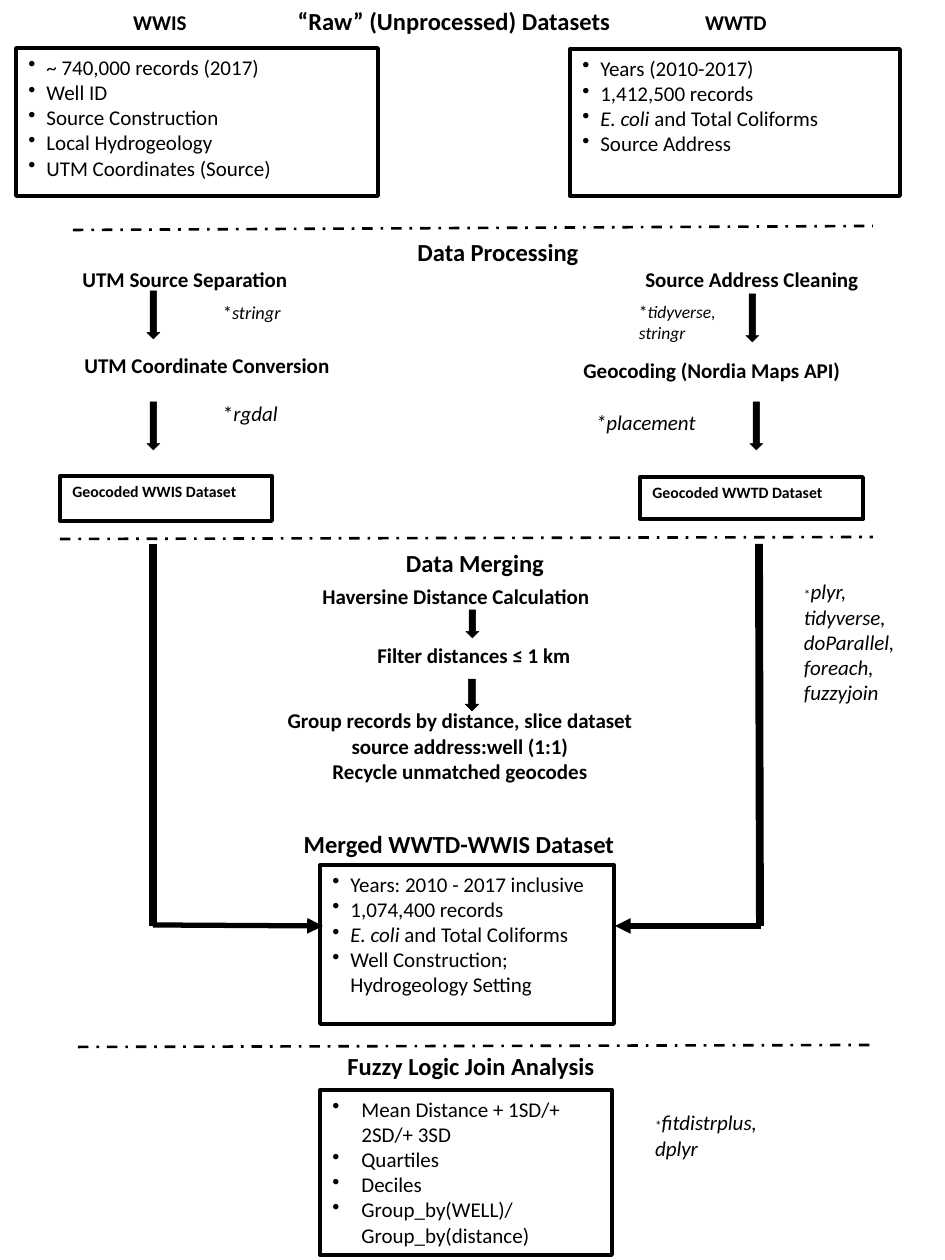
from dataclasses import dataclass

import pptx
import pptx.util
from lxml import etree
from pptx.dml.color import RGBColor
from pptx.enum.dml import MSO_LINE
from pptx.enum.shapes import MSO_CONNECTOR, MSO_SHAPE
from pptx.enum.text import MSO_ANCHOR, PP_ALIGN
from pptx.oxml.ns import qn

PX = 914400 // 126


@dataclass(frozen=True)
class Theme:
    font: str = "Calibri"
    ink: RGBColor = RGBColor(0, 0, 0)
    heading: float = 14
    body: float = 12
    note: float = 10.5
    small_note: float = 10
    tag: float = 9
    star: float = 7.5
    border: float = 2.25
    hairline: float = 0.25


@dataclass(frozen=True)
class Run:
    text: str
    italic: bool = False
    size: float | None = None


@dataclass(frozen=True)
class Label:
    x: int
    y: int
    w: int
    lines: list[list[Run]]
    size: float
    bold: bool = False
    align: PP_ALIGN = PP_ALIGN.LEFT
    hang: int = 0


@dataclass(frozen=True)
class Box:
    x: int
    y: int
    w: int
    h: int
    lines: list[list[Run]]
    hang: int = 18


@dataclass(frozen=True)
class Line:
    x1: int
    y1: int
    x2: int
    y2: int
    width: float
    dash: bool = False
    arrow: bool = False


THEME = Theme()


def px(n: float) -> int:
    return round(n * PX)


def plain(*texts: str) -> list[list[Run]]:
    return [[Run(text)] for text in texts]


def heading(x: int, y: int, w: int, text: str) -> Label:
    return Label(x, y, w, plain(text), THEME.heading, True, PP_ALIGN.CENTER)


def step(x: int, y: int, w: int, *texts: str) -> Label:
    return Label(x, y, w, plain(*texts), THEME.body, True, PP_ALIGN.CENTER)


def note(x: int, y: int, w: int, text: str, size: float, italic_star: bool = False) -> Label:
    return Label(x, y, w, [[Run("*", italic_star), Run(text, True)]], size)


def package_list(x: int, y: int, *names: str) -> Label:
    first = [Run("*", False, THEME.star), Run(names[0], True)]
    rest = [[Run(name, True)] for name in names[1:]]
    return Label(x, y, 130, [first, *rest], THEME.body, hang=9)


def write(tf, lines: list[list[Run]], size: float, bold: bool = False,
          align: PP_ALIGN = PP_ALIGN.LEFT, hang: int = 0, bullet: bool = False) -> None:
    tf.word_wrap = True
    tf.vertical_anchor = MSO_ANCHOR.TOP
    for i, runs in enumerate(lines):
        p = tf.paragraphs[0] if i == 0 else tf.add_paragraph()
        p.alignment = align
        p.font.name = THEME.font
        p.font.size = pptx.util.Pt(size)
        p.font.bold = bold
        p.font.color.rgb = THEME.ink
        same_style = len({run.italic for run in runs}) == 1
        if same_style:
            p.font.italic = runs[0].italic
        pPr = p._p.get_or_add_pPr()
        if hang:
            pPr.set("marL", str(px(hang)))
            pPr.set("indent", str(-px(hang)))
        if bullet:
            bu = etree.Element(qn("a:buChar"), char="•")
            pPr.insert(0, bu)
        for run in runs:
            r = p.add_run()
            r.text = run.text
            if not same_style:
                r.font.italic = run.italic
            if run.size:
                r.font.size = pptx.util.Pt(run.size)


def draw_label(s, label: Label) -> None:
    h = round(len(label.lines) * label.size * 2.14)
    sp = s.shapes.add_textbox(px(label.x), px(label.y), px(label.w), px(h))
    tf = sp.text_frame
    tf.margin_left = tf.margin_right = tf.margin_top = tf.margin_bottom = 0
    write(tf, label.lines, label.size, label.bold, label.align, label.hang)


def draw_shape(s, kind: MSO_SHAPE, x: int, y: int, w: int, h: int, width: float):
    sp = s.shapes.add_shape(kind, px(x), px(y), px(w), px(h))
    sp.shadow.inherit = False
    sp.line.color.rgb = THEME.ink
    sp.line.width = pptx.util.Pt(width)
    return sp


def draw_box(s, box: Box, size: float, bold: bool, bullet: bool) -> None:
    sp = draw_shape(s, MSO_SHAPE.RECTANGLE, box.x, box.y, box.w, box.h, THEME.border)
    sp.fill.background()
    write(sp.text_frame, box.lines, size, bold, hang=box.hang, bullet=bullet)


def draw_down_arrow(s, x: int, y: int, w: int, h: int) -> None:
    sp = draw_shape(s, MSO_SHAPE.DOWN_ARROW, x, y, w, h, THEME.hairline)
    sp.fill.solid()
    sp.fill.fore_color.rgb = THEME.ink


def draw_line(s, line: Line) -> None:
    cx = s.shapes.add_connector(MSO_CONNECTOR.STRAIGHT, px(line.x1), px(line.y1),
                                px(line.x2), px(line.y2))
    cx.line.color.rgb = THEME.ink
    cx.line.width = pptx.util.Pt(line.width)
    if line.dash:
        cx.line.dash_style = MSO_LINE.DASH_DOT
    if line.arrow:
        etree.SubElement(cx.line._get_or_add_ln(), qn("a:tailEnd"), type="triangle")
    etree.SubElement(cx._element.spPr, qn("a:effectLst"))


COLIFORMS = [Run("E. coli", True), Run(" and Total Coliforms")]

LIST_BOXES = [
    Box(16, 48, 362, 148, plain("~ 740,000 records (2017)", "Well ID", "Source Construction",
                                "Local Hydrogeology", "UTM Coordinates (Source)")),
    Box(570, 49, 330, 147, [*plain("Years (2010-2017)", "1,412,500 records"), COLIFORMS,
                            *plain("Source Address")]),
    Box(320, 865, 294, 159, [*plain("Years: 2010 - 2017 inclusive", "1,074,400 records"),
                             COLIFORMS, *plain("Well Construction; Hydrogeology Setting")]),
    Box(320, 1090, 292, 165, plain("Mean Distance + 1SD/+ 2SD/+ 3SD", "Quartiles", "Deciles",
                                   "Group_by(WELL)/Group_by(distance)"), hang=29),
]
TAG_BOXES = [
    Box(60, 476, 212, 45, plain("Geocoded WWIS Dataset"), hang=0),
    Box(640, 477, 223, 42, plain("Geocoded WWTD Dataset"), hang=0),
]
LABELS = [
    step(110, 10, 100, "WWIS"),
    heading(274, 6, 360, "“Raw” (Unprocessed) Datasets"),
    step(686, 10, 100, "WWTD"),
    heading(398, 237, 200, "Data Processing"),
    step(65, 267, 240, "UTM Source Separation"),
    step(632, 267, 240, "Source Address Cleaning"),
    step(62, 353, 290, "UTM Coordinate Conversion"),
    step(562, 358, 300, "Geocoding (Nordia Maps API)"),
    note(223, 301, 80, "stringr", THEME.note),
    note(223, 401, 80, "rgdal", THEME.body),
    note(639, 301, 93, "tidyverse, stringr", THEME.small_note),
    note(596, 410, 130, "placement", THEME.body, True),
    heading(375, 548, 200, "Data Merging"),
    step(306, 584, 300, "Haversine Distance Calculation"),
    step(354, 643, 240, "Filter distances ≤ 1 km"),
    step(260, 708, 400, "Group records by distance, slice dataset",
         "source address:well (1:1)", "Recycle unmatched geocodes"),
    package_list(804, 579, "plyr,", "tidyverse,", "doParallel,", "foreach,", "fuzzyjoin"),
    heading(279, 829, 360, "Merged WWTD-WWIS Dataset"),
    heading(321, 1051, 300, "Fuzzy Logic Join Analysis"),
    package_list(655, 1110, "fitdistrplus,", "dplyr"),
]
DOWN_ARROWS = [
    (147, 291, 13, 48), (147, 402, 13, 48), (746, 294, 13, 48), (750, 402, 13, 48),
    (466, 610, 13, 28), (465, 679, 14, 32),
]
LINES = [
    Line(73, 230, 873, 226, 1.5, dash=True),
    Line(60, 539, 873, 537, 1.5, dash=True),
    Line(78, 1047, 876, 1045, 1.5, dash=True),
    Line(759, 544, 760, 926, 4.5),
    Line(761, 926, 615, 926, 3, arrow=True),
    Line(153, 544, 153, 926, 4.5),
    Line(153, 925, 323, 926, 3, arrow=True),
]


def main() -> None:
    prs = pptx.Presentation()
    prs.slide_width, prs.slide_height = pptx.util.Inches(7.5), pptx.util.Inches(10)
    s = prs.slides.add_slide(prs.slide_layouts[6])
    for box in LIST_BOXES:
        draw_box(s, box, THEME.body, False, True)
    for box in TAG_BOXES:
        draw_box(s, box, THEME.tag, True, False)
    for arrow in DOWN_ARROWS:
        draw_down_arrow(s, *arrow)
    for line in LINES:
        draw_line(s, line)
    for label in LABELS:
        draw_label(s, label)
    prs.save("out.pptx")


if __name__ == "__main__":
    main()
